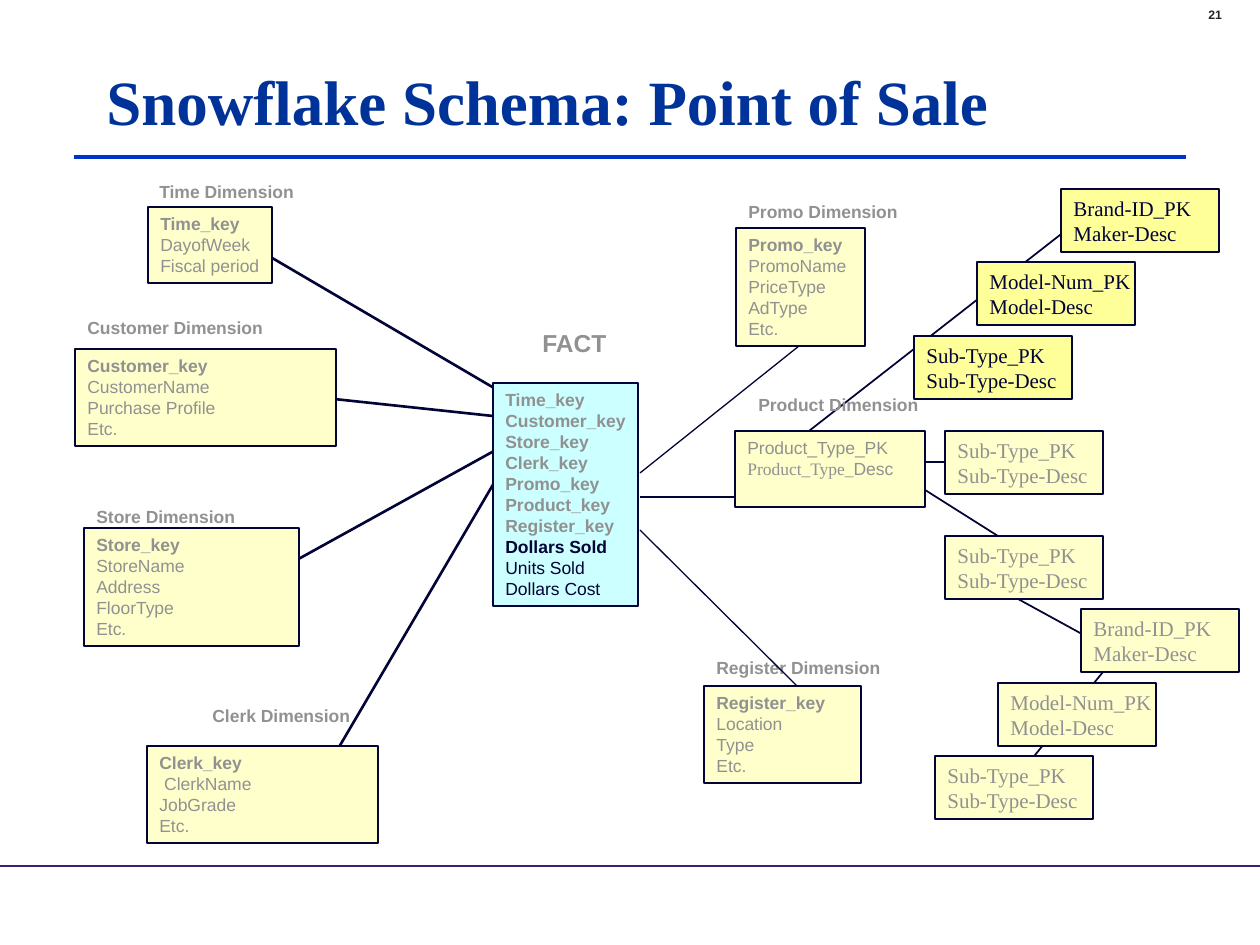
from dataclasses import dataclass
from lxml.etree import SubElement
from pptx import Presentation
from pptx.dml.color import RGBColor
from pptx.enum.shapes import MSO_CONNECTOR as Connector, MSO_SHAPE as Shape
from pptx.enum.text import MSO_ANCHOR as Anchor, PP_ALIGN as Align
from pptx.oxml.ns import qn
from pptx.util import Emu, Pt


@dataclass(frozen=True)
class Theme:
    ink: str = "020336"
    muted: str = "919191"
    title: str = "003399"
    number: str = "232323"
    title_rule: str = "0033CC"
    foot_rule: str = "3A2173"
    pale: str = "FFFFCC"
    bright: str = "FFFF99"
    fact: str = "CCFFFF"
    sans: str = "Arial"
    serif: str = "Times New Roman"
    tiny: int = 7
    body: int = 10
    level: int = 12
    heading: int = 14
    headline: int = 36


THEME = Theme()
PX = 914400 / 126
WIDTH, HEIGHT = 1260, 945
ROW, PADDING = 21, 13
LABEL_HEIGHT = 34
LEVEL_SIZE = (158, 63)

# Content: label, label left, top and width, box left, top and width, lines
KEY = {"bold": True}
BACK_DIMENSIONS = [
    ("Register Dimension", (704, 651, 194), (704, 686, 157),
     [[("Register_key", KEY)], "Location", "Type", "Etc."]),
]
FRONT_DIMENSIONS = [
    ("Clerk Dimension", (200, 699, 168), (147, 746, 231),
     [[("Clerk_key", KEY)], " ClerkName", "JobGrade", "Etc."]),
    ("Promo Dimension", (736, 195, 179), (736, 228, 129),
     [[("Promo_key", KEY)], "PromoName", "PriceType", "AdType", "Etc."]),
    ("Product Dimension", (746, 388, 190), (735, 431, 190),
     ["Product_Type_PK",
      [("Product_Type_", {"font": THEME.serif}), ("Desc", {})]]),
    ("Time Dimension", (147, 175, 165), (148, 207, 124),
     [[("Time_key", KEY)], "DayofWeek", "Fiscal period"]),
    ("Customer Dimension", (75, 311, 206), (75, 349, 261),
     [[("Customer_key", KEY)], "CustomerName", "Purchase Profile", "Etc."]),
    ("Store Dimension", (84, 500, 169), (84, 528, 215),
     [[("Store_key", KEY)], "StoreName", "Address", "FloorType", "Etc."]),
]
FACT_KEYS = ["Time_key", "Customer_key", "Store_key", "Clerk_key",
             "Promo_key", "Product_key", "Register_key"]
MEASURES = [[("Dollars Sold", {"bold": True})], "Units Sold", "Dollars Cost"]

# Snowflake levels: lines, bright positions, muted positions
SUB_TYPE = ["Sub-Type_PK", "Sub-Type-Desc"]
MODEL = ["Model-Num_PK", "Model-Desc"]
BRAND = ["Brand-ID_PK", "Maker-Desc"]
LEVELS = [
    (SUB_TYPE, [(914, 336)], [(945, 431), (945, 536), (935, 756)]),
    (MODEL, [(977, 262)], [(998, 683)]),
    (BRAND, [(1061, 189)], [(1081, 609)]),
]

# Lines: x1, y1, x2, y2
LEVEL_LINES = [(1103, 672, 1008, 788), (998, 588, 1113, 651),
               (809, 431, 1092, 210), (914, 483, 998, 536),
               (924, 462, 977, 462)]
LEFT_LINES = [(315, 788, 494, 483), (284, 567, 494, 451),
              (262, 252, 494, 388), (231, 388, 493, 416)]
RIGHT_LINES = [(640, 473, 814, 334), (640, 497, 805, 497),
               (640, 530, 797, 686)]


def px(*values):
    return [Emu(round(value * PX)) for value in values]


def rgb(value):
    return RGBColor.from_string(value)


def put_text(box, lines, size=THEME.body, font=THEME.sans, color=THEME.muted,
             bold=False, spacing=None, anchor=Anchor.TOP, wrap=False):
    """A line is a string or a list of (text, changed format) spans."""
    frame = box.text_frame
    frame.word_wrap = wrap
    frame.vertical_anchor = anchor
    for index, line in enumerate(lines):
        para = frame.add_paragraph() if index else frame.paragraphs[0]
        para.alignment = Align.LEFT
        para.line_spacing = Pt(spacing or round(size * 1.2, 1))
        for text, changes in [(line, {})] if isinstance(line, str) else line:
            look = {"font": font, "color": color, "bold": bold, **changes}
            span = para.add_run()
            span.text = text
            span.font.size = Pt(size)
            span.font.name = look["font"]
            span.font.bold = look["bold"]
            span.font.color.rgb = rgb(look["color"])


def add_label(slide, text, place, **look):
    put_text(slide.shapes.add_textbox(*px(*place)), [text], **look)


def add_box(slide, place, lines, fill, border=0.75, **look):
    box = slide.shapes.add_shape(Shape.RECTANGLE, *px(*place))
    box.shadow.inherit = False
    box.fill.solid()
    box.fill.fore_color.rgb = rgb(fill)
    box.line.color.rgb = rgb(THEME.ink)
    box.line.width = Pt(border)
    put_text(box, lines, **look)


def add_lines(slide, lines, width, color=THEME.ink):
    for ends in lines:
        line = slide.shapes.add_connector(Connector.STRAIGHT, *px(*ends))
        line.line.color.rgb = rgb(color)
        line.line.width = Pt(width)
        SubElement(line._element.spPr, qn("a:effectLst"))


def add_dimensions(slide, dimensions):
    for label, label_place, (left, top, width), lines in dimensions:
        height = PADDING + ROW * max(3, len(lines))
        add_box(slide, (left, top, width, height), lines, THEME.pale)
        add_label(slide, label, (*label_place, LABEL_HEIGHT), bold=True)


def main():
    deck = Presentation()
    deck.slide_width, deck.slide_height = px(WIDTH, HEIGHT)
    slide = deck.slides.add_slide(deck.slide_layouts[6])

    # Page frame
    add_label(slide, "21", (1196, 1, 84, 28), size=THEME.tiny,
              color=THEME.number, bold=True)
    add_lines(slide, [(0, 866, WIDTH, 866)], 1, THEME.foot_rule)
    add_lines(slide, [(74, 157, 1186, 157)], 2.25, THEME.title_rule)
    add_label(slide, "Snowflake Schema: Point of Sale", (94, 26, 1071, 158),
              size=THEME.headline, font=THEME.serif, color=THEME.title,
              bold=True, spacing=38, anchor=Anchor.MIDDLE, wrap=True)

    # Star: dimensions around the fact table, boxes covering the line ends
    add_lines(slide, LEVEL_LINES, 1)
    add_dimensions(slide, BACK_DIMENSIONS)
    add_lines(slide, LEFT_LINES, 1.5)
    add_lines(slide, RIGHT_LINES, 0.75)
    keys = [[(key, {"bold": True, "color": THEME.muted})] for key in FACT_KEYS]
    facts = keys + MEASURES
    add_box(slide, (493, 383, 145, PADDING + ROW * len(facts)), facts,
            THEME.fact, color=THEME.ink)
    add_dimensions(slide, FRONT_DIMENSIONS)
    add_label(slide, "FACT", (530, 322, 91, 43), size=THEME.heading, bold=True)

    # Snowflake levels
    for lines, bright, muted in LEVELS:
        for corners, fill, color in ((bright, THEME.bright, THEME.ink),
                                     (muted, THEME.pale, THEME.muted)):
            for corner in corners:
                add_box(slide, (*corner, *LEVEL_SIZE), lines, fill, border=1,
                        size=THEME.level, font=THEME.serif, color=color)

    deck.save("out.pptx")


if __name__ == "__main__":
    main()
